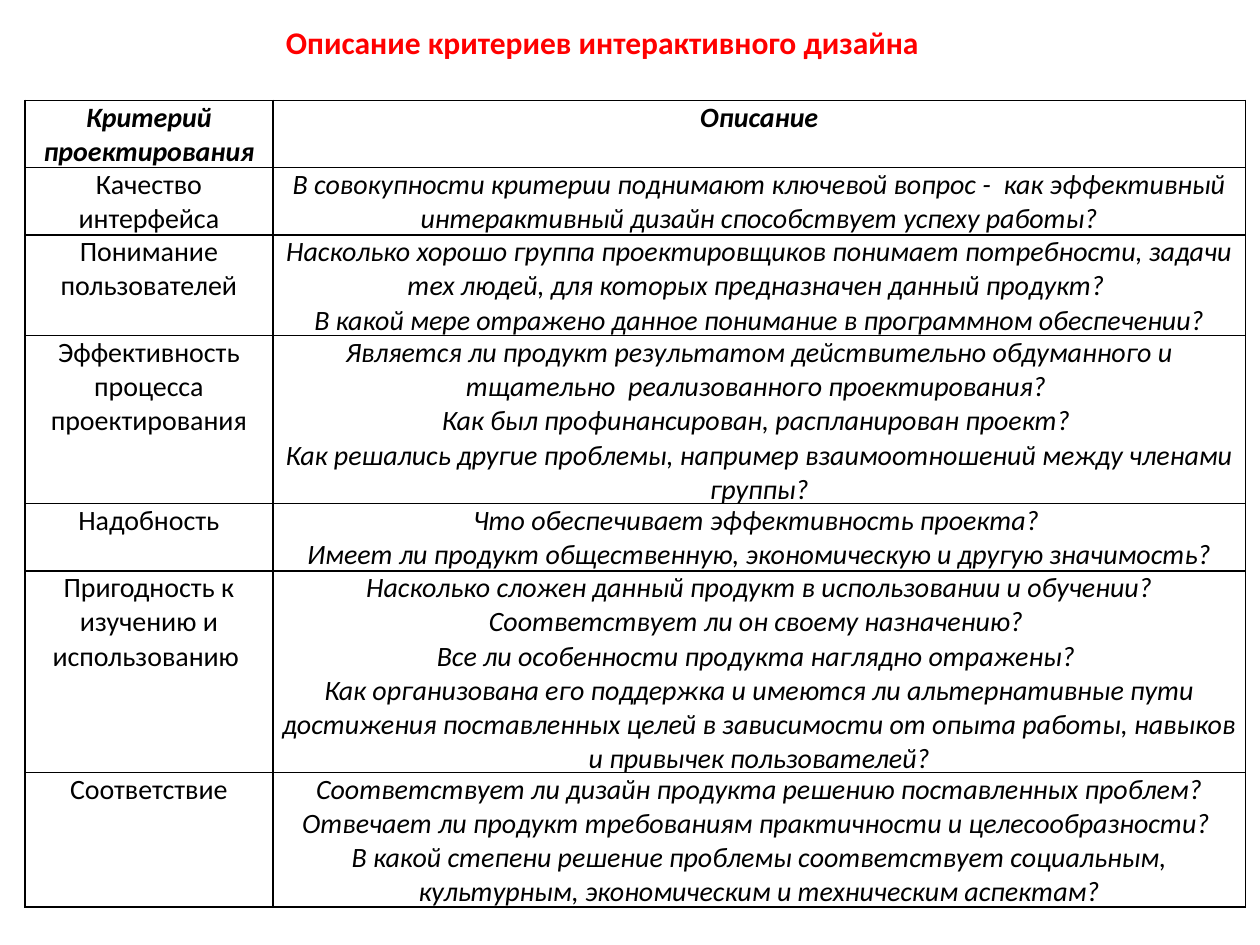
import pptx
import pptx.dml.color
import pptx.enum.text
import pptx.oxml
import pptx.oxml.ns
import pptx.util

Pt = pptx.util.Pt
ALIGN = pptx.enum.text.PP_ALIGN

TITLE = "Описание критериев интерактивного дизайна"
HEADINGS = ("Критерий проектирования", ["Описание"])
CRITERIA = [
    ("Качество интерфейса", [
        "В совокупности критерии поднимают ключевой вопрос -  как эффективный "
        "интерактивный дизайн способствует успеху работы?"]),
    ("Понимание пользователей", [
        "Насколько хорошо группа проектировщиков понимает потребности, задачи "
        "тех людей, для которых предназначен данный продукт? ",
        "В какой мере отражено данное понимание в программном обеспечении?"]),
    ("Эффективность процесса проектирования", [
        "Является ли продукт результатом действительно обдуманного и "
        "тщательно  реализованного проектирования? ",
        "Как был профинансирован, распланирован проект? ",
        "Как решались другие проблемы, например взаимоотношений между "
        "членами группы?"]),
    ("Надобность", [
        "Что обеспечивает эффективность проекта? ",
        "Имеет ли продукт общественную, экономическую и другую значимость?"]),
    ("Пригодность к изучению и использованию ", [
        "Насколько сложен данный продукт в использовании и обучении? "
        "Соответствует ли он своему назначению? ",
        "Все ли особенности продукта наглядно отражены? ",
        "Как организована его поддержка и имеются ли альтернативные пути "
        "достижения поставленных целей в зависимости от опыта работы, навыков "
        "и привычек пользователей?"]),
    ("Соответствие", [
        "Соответствует ли дизайн продукта решению поставленных проблем? "
        "Отвечает ли продукт требованиям практичности и целесообразности? ",
        "В какой степени решение проблемы соответствует социальным, "
        "культурным, экономическим и техническим аспектам?"]),
]


def color(value):
    """Turn a hex string into a colour."""
    return pptx.dml.color.RGBColor.from_string(value)


def apply(target, values):
    """Set every attribute named in a dict of format values."""
    for name, value in values.items():
        setattr(target, name, value)


class SlideBuilder:
    """Holds the style and the current slide."""

    font = "Calibri"
    ink = "000000"
    accent = "FF0000"
    title_size = 18
    cell_size = 16
    row_height = 29.5
    border_width = 1

    def __init__(self, page):
        """Start work on a page."""
        self.page = page

    def paragraphs(self, frame, texts, align, size, ink, **style):
        """Add one paragraph per text, all in one format."""
        for index, text in enumerate(texts):
            para = frame.add_paragraph() if index else frame.paragraphs[0]
            para.alignment = align
            span = para.add_run()
            span.text = text
            apply(span.font, {"name": self.font, "size": Pt(size), **style})
            span.font.color.rgb = color(ink)

    def title(self, text, left, top, width, height):
        """Place the title on a single line."""
        box = self.page.shapes.title
        apply(box, {"left": Pt(left), "top": Pt(top),
                    "width": Pt(width), "height": Pt(height)})
        apply(box.text_frame, {
            "word_wrap": False,
            "auto_size": pptx.enum.text.MSO_AUTO_SIZE.SHAPE_TO_FIT_TEXT,
            "vertical_anchor": pptx.enum.text.MSO_ANCHOR.TOP})
        self.paragraphs(box.text_frame, [text], ALIGN.LEFT, self.title_size,
                        self.accent, bold=True)

    def border(self, cell):
        """Draw a thin line on all four sides of a cell."""
        properties = cell._tc.get_or_add_tcPr()
        for side in ("lnL", "lnR", "lnT", "lnB"):
            properties.append(pptx.oxml.parse_xml(
                f'<a:{side} {pptx.oxml.ns.nsdecls("a")} '
                f'w="{int(Pt(self.border_width))}"><a:solidFill>'
                f'<a:srgbClr val="{self.ink}"/></a:solidFill></a:{side}>'))

    def cell(self, cell, texts, **style):
        """Fill one bordered cell with centred text."""
        apply(cell, dict.fromkeys(
            ("margin_left", "margin_right", "margin_top", "margin_bottom"), 0))
        self.border(cell)
        cell.fill.background()
        self.paragraphs(cell.text_frame, texts, ALIGN.CENTER, self.cell_size,
                        self.ink, **style)

    def table(self, headings, rows, left, top, widths, height):
        """Add a heading row and body rows; rows grow with their text."""
        lines = [headings, *rows]
        frame = self.page.shapes.add_table(
            len(lines), len(widths), Pt(left), Pt(top), Pt(sum(widths)),
            Pt(self.row_height * len(lines)))
        table = frame.table
        apply(table, {"first_row": False, "horz_banding": False})
        for column, width in zip(table.columns, widths):
            column.width = Pt(width)
        frame.height = Pt(height)
        for index, (criterion, questions) in enumerate(lines):
            heading = index == 0
            self.cell(table.cell(index, 0), [criterion],
                      bold=heading, italic=heading)
            self.cell(table.cell(index, 1), questions,
                      bold=heading, italic=True)


def main():
    """Build the deck and save it."""
    deck = pptx.Presentation()
    apply(deck, {"slide_width": Pt(720), "slide_height": Pt(540)})
    builder = SlideBuilder(deck.slides.add_slide(deck.slide_layouts[5]))
    builder.title(TITLE, 156.2, 9.4, 379.4, 29)
    builder.table(HEADINGS, CRITERIA, 14.2, 57.4, (141.8, 555.8), 460.8)
    deck.save("out.pptx")


main()
